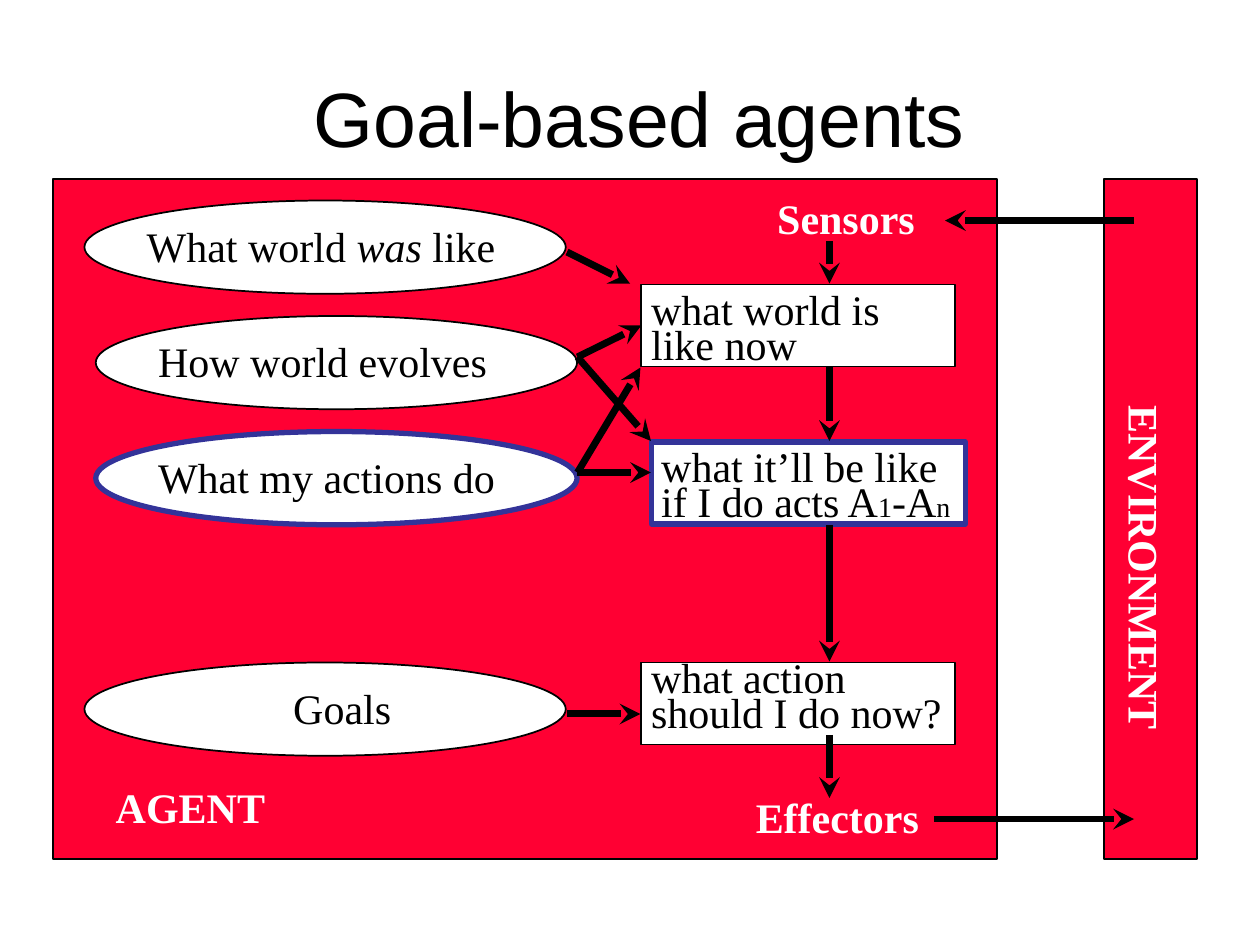
from dataclasses import dataclass

import lxml.etree
import pptx
import pptx.dml.color
import pptx.enum.shapes
import pptx.enum.text
import pptx.oxml.ns
import pptx.util

SHAPE = pptx.enum.shapes.MSO_SHAPE
ALIGN = pptx.enum.text.PP_ALIGN
ANCHOR = pptx.enum.text.MSO_ANCHOR
FIT = pptx.enum.text.MSO_AUTO_SIZE

CELLS_PER_INCH = 12
BLACK, WHITE, RED, BLUE = "000000", "FFFFFF", "FF0033", "333399"
BODY_FONT, TITLE_FONT = "Times New Roman", "Arial"
ELLIPSE_SIZE = (45.84, 8.88)
STEP_SIZE = (29.9, 7.8)
FIRST_ROW, ROW_GAP = 19.1, 11


@dataclass(frozen=True)
class Span:
    """A piece of text with its own size or slant."""
    text: str
    size: float = 24
    italic: bool = False


@dataclass(frozen=True)
class Node:
    """An outlined shape and the label placed inside it."""
    left: float
    top: float
    lines: tuple
    label_shift: tuple
    label_size: tuple
    line: str = BLACK
    weight: float = 1


@dataclass(frozen=True)
class Caption:
    """A bold white name of a part of the diagram."""
    text: str
    place: tuple
    rotation: float = 0


@dataclass(frozen=True)
class Arrow:
    """An arrow between two grid points."""
    start: tuple
    end: tuple


def cells(count: float) -> int:
    """Turn grid cells into a length."""
    return pptx.util.Inches(count / CELLS_PER_INCH)


def color(value: str) -> pptx.dml.color.RGBColor:
    """Turn a hex string into a colour."""
    return pptx.dml.color.RGBColor.from_string(value)


def row(index: int) -> float:
    """Give the top of a row of ellipses."""
    return FIRST_ROW + ROW_GAP * index


def add_block(page, kind, place: tuple, fill: str, line: str = BLACK, weight: float = 1):
    """Draw a filled and outlined shape."""
    block = page.shapes.add_shape(kind, *map(cells, place))
    block.shadow.inherit = False
    block.fill.solid()
    block.fill.fore_color.rgb = color(fill)
    block.line.color.rgb = color(line)
    block.line.width = pptx.util.Pt(weight)
    return block


def add_text(page, lines: tuple, place: tuple, *, font: str = BODY_FONT,
             ink: str = BLACK, bold: bool = False, spacing: float | None = None,
             align=ALIGN.LEFT, anchor=ANCHOR.TOP, wrap: bool = False,
             rotation: float = 0) -> None:
    """Write lines of spans in a text box."""
    box = page.shapes.add_textbox(*map(cells, place))
    box.rotation = rotation
    frame = box.text_frame
    frame.word_wrap = wrap
    frame.auto_size = FIT.NONE if wrap else FIT.SHAPE_TO_FIT_TEXT
    frame.vertical_anchor = anchor
    for index, spans in enumerate(lines):
        para = frame.add_paragraph() if index else frame.paragraphs[0]
        para.alignment = align
        if spacing:
            para.line_spacing = pptx.util.Pt(spacing)
        for span in spans:
            run = para.add_run()
            run.text = span.text
            run.font.name = font
            run.font.size = pptx.util.Pt(span.size)
            run.font.bold = bold
            run.font.italic = span.italic
            run.font.color.rgb = color(ink)


def add_node(page, kind, node: Node, size: tuple):
    """Draw a node with its label."""
    block = add_block(page, kind, (node.left, node.top, *size), WHITE, node.line, node.weight)
    across, down = node.label_shift
    place = (node.left + across, node.top + down, *node.label_size)
    add_text(page, node.lines, place, spacing=20)
    return block


def add_arrow(page, arrow: Arrow):
    """Draw a thick line with a stealth head at its end."""
    link = page.shapes.add_connector(pptx.enum.shapes.MSO_CONNECTOR.STRAIGHT,
                                     *map(cells, (*arrow.start, *arrow.end)))
    link.line.color.rgb = color(BLACK)
    link.line.width = pptx.util.Pt(4)
    outline = link.line._get_or_add_ln()
    lxml.etree.SubElement(outline, pptx.oxml.ns.qn("a:tailEnd"), type="stealth")
    lxml.etree.SubElement(link._element.spPr, pptx.oxml.ns.qn("a:effectLst"))
    return link


PANELS = ((105.12, 17.04, 8.88, 64.8), (5.04, 17.04, 89.88, 64.8))

CAPTIONS = (
    Caption("ENVIRONMENT", (92.4, 51.12, 33.36, 6), 90),
    Caption("AGENT", (9.84, 73.8, 16.68, 6)),
    Caption("Effectors", (70.8, 74.76, 18, 6)),
    Caption("Sensors", (72.84, 17.76, 15.6, 6)),
)

KNOWLEDGE = (
    Node(8.04, row(0), ((Span("What world "), Span("was", italic=True), Span(" like")),),
         (4.75, 2.77), (35.64, 4.56)),
    Node(9.12, row(1), ((Span("How world evolves"),),), (4.75, 2.77), (33.72, 4.56)),
    Node(9.12, row(2), ((Span("What my actions do"),),), (4.75, 2.77), (34.56, 4.56),
         BLUE, 3),
    Node(8.04, row(4), ((Span("Goals"),),), (18.7, 2.77), (11.76, 4.56)),
)

WORLD_NOW = Node(61.08, 27.1, ((Span("what world is"),), (Span("like now"),)),
                 (-0.25, 0.74), (24.24, 7.92))
STEPS = (
    Node(62.04, 42.1,
         ((Span("what it’ll be like"),),
          (Span("if I do acts A"), Span("1", 16), Span("-A"), Span("n", 16))),
         (-0.25, 0.74), (30.24, 7.92), BLUE, 3),
    Node(61.08, row(4), ((Span("what action"),), (Span("should I do now?"),)),
         (-0.25, -0.22), (30.12, 7.92)),
)

EVOLVES_TO_NOW = Arrow((55, 34), (61, 31))
ARROWS = (
    Arrow((108, 21), (90, 21)),
    Arrow((89, 78), (108, 78)),
    Arrow((79, 23), (79, 27)),
    Arrow((79, 35), (79, 42)),
    Arrow((79, 50), (79, 63)),
    Arrow((79, 70), (79, 76)),
    Arrow((54, 24), (60, 27)),
    Arrow((55, 34), (62, 42)),
    Arrow((55, 45), (61, 35)),
    Arrow((55, 45), (62, 45)),
    Arrow((54, 68), (61, 68)),
)


def main() -> None:
    """Build the slide and save it."""
    deck = pptx.Presentation()
    deck.slide_width, deck.slide_height = cells(120), cells(90)
    page = deck.slides.add_slide(deck.slide_layouts[6])
    add_text(page, ((Span("Goal-based agents", 44),),), (15, 3.6, 91.8, 15),
             font=TITLE_FONT, align=ALIGN.CENTER, anchor=ANCHOR.MIDDLE, wrap=True)
    for place in PANELS:
        add_block(page, SHAPE.RECTANGLE, place, RED)
    for caption in CAPTIONS:
        add_text(page, ((Span(caption.text),),), caption.place, ink=WHITE, bold=True,
                 rotation=caption.rotation)
    for node in KNOWLEDGE:
        add_node(page, SHAPE.OVAL, node, ELLIPSE_SIZE)
    world_now = add_node(page, SHAPE.RECTANGLE, WORLD_NOW, STEP_SIZE)
    for node in STEPS:
        add_node(page, SHAPE.RECTANGLE, node, STEP_SIZE)
    for arrow in ARROWS:
        add_arrow(page, arrow)
    add_arrow(page, EVOLVES_TO_NOW).end_connect(world_now, 1)
    deck.save("out.pptx")


if __name__ == "__main__":
    main()
